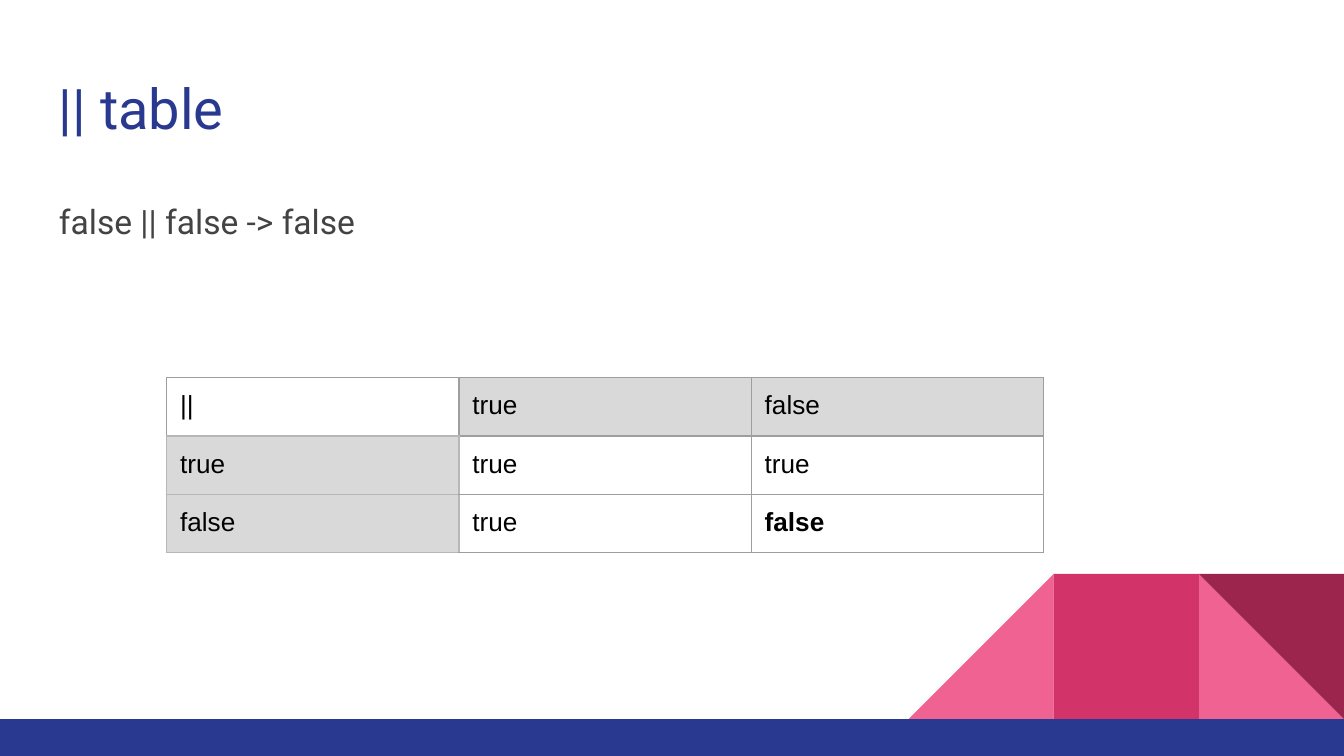
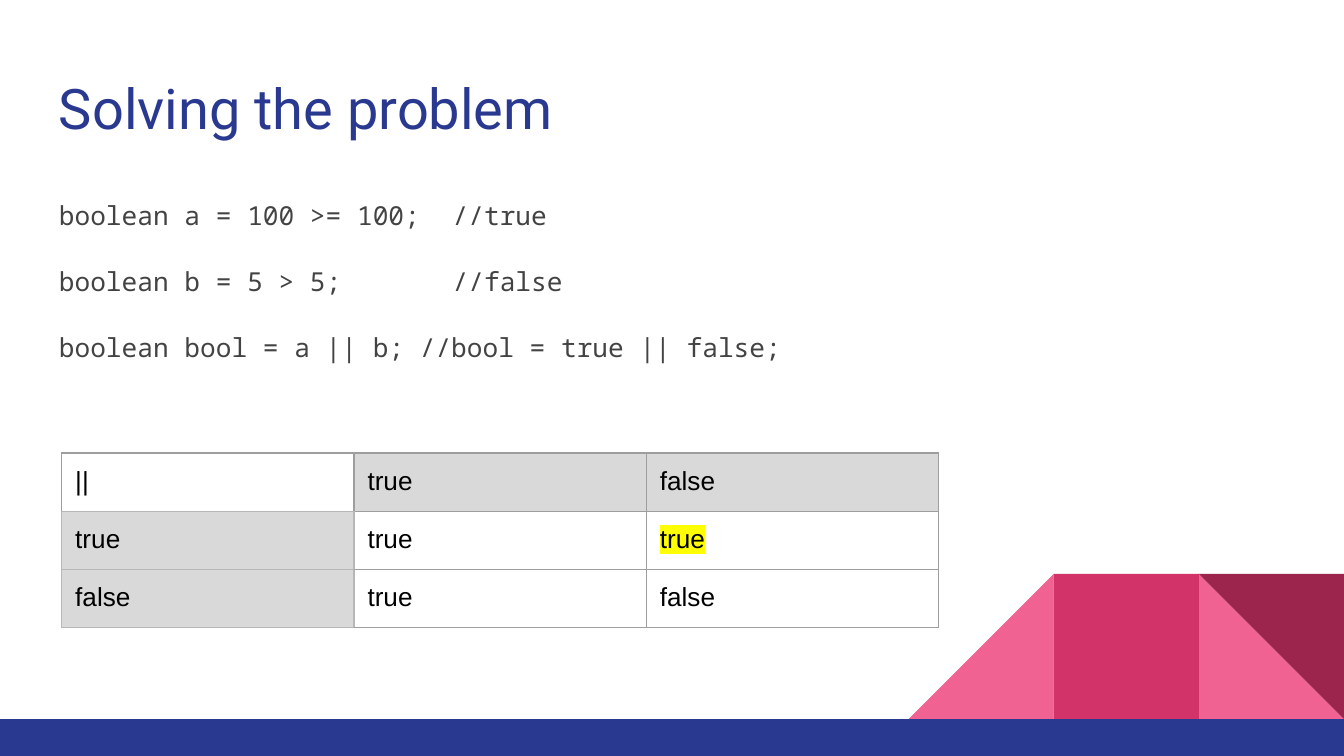
import pptx
import pptx.dml.color
import pptx.enum.shapes
import pptx.enum.text
import pptx.oxml
import pptx.oxml.ns
import pptx.util

COLORS = {
    "navy": "2A3990",
    "pink": "F06292",
    "rose": "D23369",
    "wine": "9C254D",
    "body": "434343",
    "black": "000000",
    "label": "D9D9D9",
    "edge": "9E9E9E",
    "label_edge": "B7B7B7",
    "mark": "FFFF00",
}
STYLES = {
    "title": {"name": "Roboto", "size": 30, "color": "navy"},
    "rule": {"name": "Roboto", "size": 18, "color": "body"},
    "code": {"name": "Noto Sans Mono", "size": 14, "color": "body"},
    "cell": {"name": "Arial", "size": 14, "color": "black"},
}
COLUMNS, ROWS = 100, 56.25
SHAPES = pptx.enum.shapes.MSO_SHAPE
NEIGHBOURS = {"L": (0, -1), "R": (0, 1), "T": (-1, 0), "B": (1, 0)}
PADDING = dict.fromkeys(
    ("margin_left", "margin_right", "margin_top", "margin_bottom"), pptx.util.Inches(0.1)
)
OR_VALUES = [["||", "true", "false"], ["true", "true", "true"], ["false", "true", "false"]]


def apply(target, values):
    for key, value in values.items():
        setattr(target, key, value)


def rgb(color):
    return pptx.dml.color.RGBColor.from_string(COLORS[color])


def is_label(row, column):
    return column == 0 and row in (1, 2)


class Deck:
    def __init__(self):
        self.presentation = pptx.Presentation()
        apply(
            self.presentation,
            {"slide_width": pptx.util.Inches(10), "slide_height": pptx.util.Inches(5.625)},
        )
        self.slide = None

    def place(self, left, top, width, height):
        across = self.presentation.slide_width / COLUMNS
        down = self.presentation.slide_height / ROWS
        return [
            round(length * step)
            for length, step in zip((left, top, width, height), (across, down) * 2)
        ]

    def start(self, title):
        self.slide = self.presentation.slides.add_slide(self.presentation.slide_layouts[6])
        side, floor = 10.8, 53.5
        facets = (
            (1, SHAPES.RIGHT_TRIANGLE, 0, "pink"),
            (3, SHAPES.RIGHT_TRIANGLE, 270, "pink"),
            (2, SHAPES.RECTANGLE, 0, "rose"),
            (1, SHAPES.RIGHT_TRIANGLE, 180, "wine"),
        )
        for steps, kind, turn, color in facets:
            area = (COLUMNS - steps * side, floor - side, side, side)
            self.shape(area, kind, color, turn)
        self.shape((0, floor, COLUMNS, ROWS - floor), SHAPES.RECTANGLE, "navy")
        self.text((3.4, 4.5, 93.2, 6.6), [title], "title")

    def shape(self, area, kind, color, turn=0):
        shape = self.slide.shapes.add_shape(kind, *self.place(*area))
        shape.shadow.inherit = False
        shape.rotation = turn
        shape.fill.solid()
        shape.fill.fore_color.rgb = rgb(color)
        shape.line.fill.background()

    def words(self, paragraph, wording, style, bold=False):
        run = paragraph.add_run()
        run.text = wording
        look = STYLES[style]
        apply(
            run.font,
            {"name": look["name"], "size": pptx.util.Pt(look["size"]), "bold": bold},
        )
        run.font.color.rgb = rgb(look["color"])
        return run

    def text(self, area, lines, style, spacing=None, gap=0, tab=None):
        frame = self.slide.shapes.add_textbox(*self.place(*area)).text_frame
        apply(frame, {"word_wrap": True, **PADDING})
        for number, line in enumerate(lines):
            paragraph = frame.add_paragraph() if number else frame.paragraphs[0]
            before = pptx.util.Pt(gap if number else 0)
            apply(paragraph, {"line_spacing": spacing, "space_before": before})
            if tab:
                stop = self.place(tab, 0, 0, 0)[0]
                paragraph._p.get_or_add_pPr().append(pptx.oxml.parse_xml(
                    f'<a:tabLst {pptx.oxml.ns.nsdecls("a")}>'
                    f'<a:tab pos="{stop}" algn="l"/></a:tabLst>'
                ))
            self.words(paragraph, line, style)

    def body(self, lines, style, **layout):
        self.text((3.4, 13.5, 93.2, 36.5), lines, style, spacing=1.15, **layout)

    def border(self, cell, row, column):
        for side, (down, across) in NEIGHBOURS.items():
            light = is_label(row, column) or is_label(row + down, column + across)
            color = COLORS["label_edge" if light else "edge"]
            cell._tc.get_or_add_tcPr().append(pptx.oxml.parse_xml(
                f'<a:ln{side} {pptx.oxml.ns.nsdecls("a")} w="{pptx.util.Pt(0.75)}">'
                f'<a:solidFill><a:srgbClr val="{color}"/></a:solidFill></a:ln{side}>'
            ))

    def highlight(self, run):
        ink = run.font._element.find(pptx.oxml.ns.qn("a:solidFill"))
        ink.addnext(pptx.oxml.parse_xml(
            f'<a:highlight {pptx.oxml.ns.nsdecls("a")}>'
            f'<a:srgbClr val="{COLORS["mark"]}"/></a:highlight>'
        ))

    def truth_table(self, left, top, values, bold=None, marked=None):
        heights = (4.3, 4.3, 4.2)
        width = 21.75
        area = self.place(left, top, width * len(values[0]), sum(heights))
        table = self.slide.shapes.add_table(len(values), len(values[0]), *area).table
        apply(table, {"first_row": False, "horz_banding": False})
        for column in table.columns:
            column.width = self.place(width, 0, 0, 0)[0]
        for r, (height, row_values) in enumerate(zip(heights, values)):
            table.rows[r].height = self.place(0, height, 0, 0)[1]
            for c, value in enumerate(row_values):
                cell = table.cell(r, c)
                apply(cell, PADDING)
                self.border(cell, r, c)
                if (r == 0) != (c == 0):
                    cell.fill.solid()
                    cell.fill.fore_color.rgb = rgb("label")
                else:
                    cell.fill.background()
                paragraph = cell.text_frame.paragraphs[0]
                run = self.words(paragraph, value, "cell", bold=(r, c) == bold)
                if (r, c) == marked:
                    self.highlight(run)


def main():
    deck = Deck()

    deck.start("|| table")
    deck.body(["false || false -> false"], "rule")
    deck.truth_table(12.4, 28.1, OR_VALUES, bold=(2, 2))

    deck.start("Solving the problem")
    deck.body(
        [
            "boolean a = 100 >= 100;\t//true",
            "boolean b = 5 > 5;\t//false",
            "boolean bool = a || b; //bool = true || false;",
        ],
        "code",
        gap=16,
        tab=29.3,
    )
    deck.truth_table(4.6, 33.7, OR_VALUES, marked=(1, 2))

    deck.presentation.save("out.pptx")


if __name__ == "__main__":
    main()
